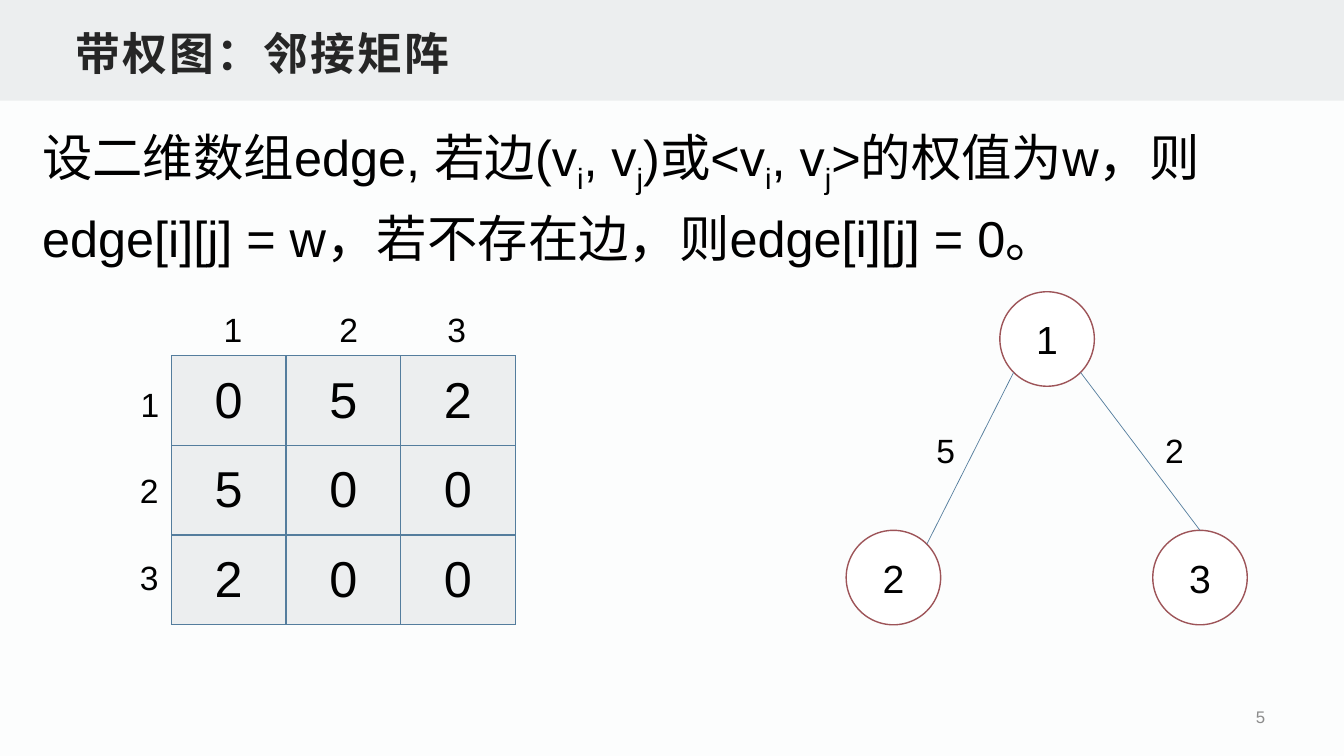
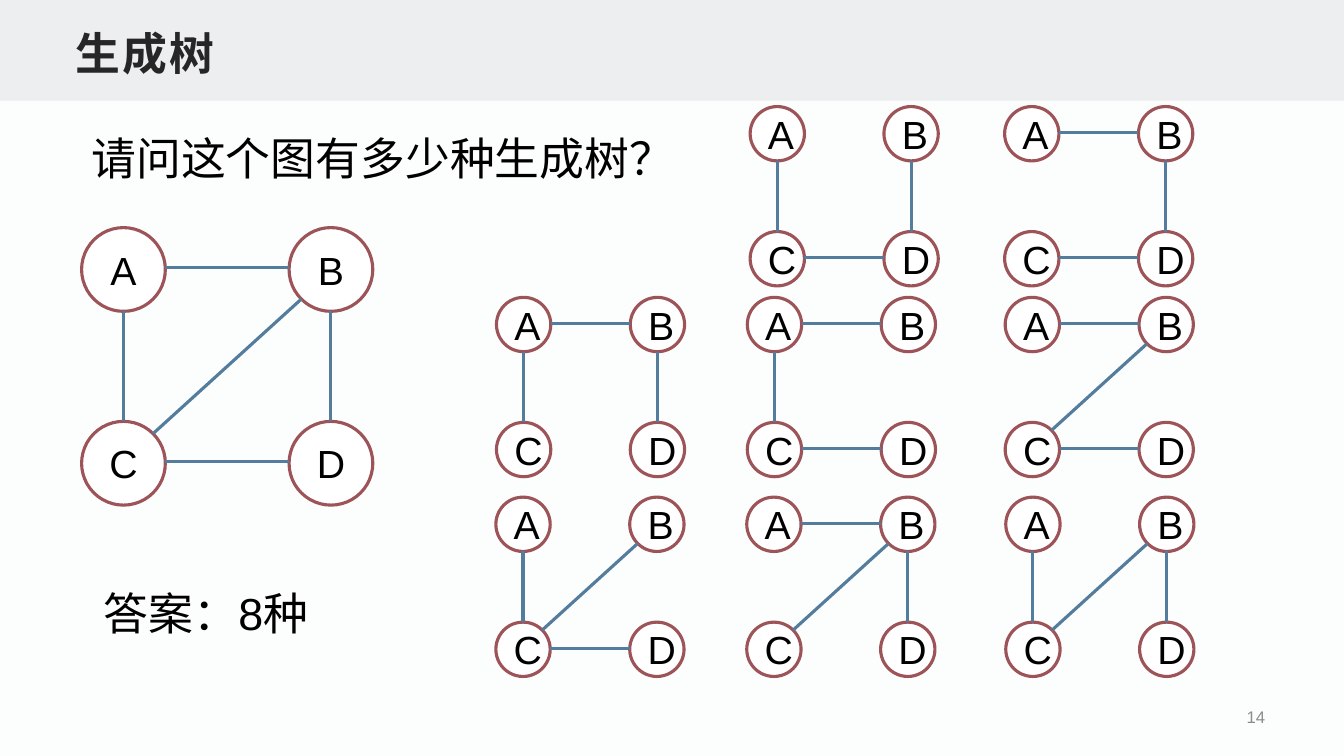
"""Two lecture slides on weighted graphs and spanning trees."""
from lxml import etree
from pptx import Presentation
from pptx.dml.color import RGBColor
from pptx.enum.shapes import MSO_CONNECTOR as CONN, MSO_SHAPE as SHAPE
from pptx.enum.text import MSO_ANCHOR as ANCHOR, MSO_AUTO_SIZE as AUTO, PP_ALIGN as ALIGN
from pptx.oxml.ns import qn
from pptx.util import Pt

BLACK, DARK, GREY, WHITE = "000000", "262626", "8C8C8C", "FFFFFF"
PAPER, BAND, RED, BLUE = "FCFDFD", "ECEEEF", "9D5458", "547D9D"
WIDTH, HEIGHT = 960, 540
DIAG = 0.71
SITES = {
    "N": (0, -1), "S": (0, 1), "E": (1, -0.04), "W": (-1, -0.04),
    "NE": (DIAG, -DIAG), "SE": (DIAG, DIAG), "SW": (-DIAG, DIAG),
}
SQUARE_EDGES = {
    "AB": ("E", "W"), "CD": ("E", "W"), "AC": ("S", "N"),
    "BD": ("S", "N"), "BC": ("SW", "NE"),
}


def rgb(value):
    """Turn a hex string into a colour."""
    return RGBColor.from_string(value)


class Deck:
    """Holds the style, the presentation and the current slide."""

    def __init__(self):
        """Start a wide presentation with the shared background."""
        self.prs = Presentation()
        self.prs.slide_width, self.prs.slide_height = Pt(WIDTH), Pt(HEIGHT)
        fill = self.prs.slide_master.background.fill
        fill.solid()
        fill.fore_color.rgb = rgb(PAPER)

    def format(self, p, size, color=BLACK, bold=False, align=ALIGN.LEFT):
        """Format a paragraph and its runs."""
        p.alignment = align
        for r in p.runs:
            r.font.name, r.font.size, r.font.bold = "Arial", Pt(size), bold
            r.font.color.rgb = rgb(color)

    def slide(self, title, number):
        """Add a slide with its band, title and number."""
        self.s = self.prs.slides.add_slide(self.prs.slide_layouts[5])
        sp = self.s.shapes.title
        band = self.shape(SHAPE.RECTANGLE, 0, 0, WIDTH, 72, BAND)
        sp._element.addprevious(band._element)
        sp.left, sp.top, sp.width, sp.height = Pt(48), Pt(12), Pt(864), Pt(48)
        tf = sp.text_frame
        tf.text = title
        tf.auto_size, tf.vertical_anchor = AUTO.NONE, ANCHOR.BOTTOM
        tf.margin_left = tf.margin_right = Pt(6)
        tf.margin_top = tf.margin_bottom = Pt(3)
        self.format(tf.paragraphs[0], 32, DARK, bold=True)
        tf.paragraphs[0].runs[0].font._element.set("spc", "150")
        self.text(number, 698.4, 499.7, 212.4, 25.2, 12, GREY, ALIGN.RIGHT, ANCHOR.MIDDLE)

    def shape(self, kind, x, y, w, h, fill, line=None, weight=1):
        """Add a filled preset shape with an optional outline."""
        sp = self.s.shapes.add_shape(kind, Pt(x), Pt(y), Pt(w), Pt(h))
        sp.shadow.inherit = False
        sp.fill.solid()
        sp.fill.fore_color.rgb = rgb(fill)
        if line:
            sp.line.color.rgb, sp.line.width = rgb(line), Pt(weight)
        else:
            sp.line.fill.background()
        return sp

    def text(self, text, x, y, w, h, size, color=BLACK, align=ALIGN.LEFT,
             anchor=ANCHOR.TOP, spacing=None):
        """Add a text box; every second part between bars is a subscript."""
        tf = self.s.shapes.add_textbox(Pt(x), Pt(y), Pt(w), Pt(h)).text_frame
        tf.word_wrap, tf.vertical_anchor = True, anchor
        p = tf.paragraphs[0]
        for i, part in enumerate(text.split("|")):
            r = p.add_run()
            r.text = part
            if i % 2:
                r.font._element.set("baseline", "-25000")
        self.format(p, size, color, align=align)
        if spacing:
            p.line_spacing = spacing

    def node(self, name, x, y, size, weight):
        """Add a labelled circle and return its centre and radius."""
        sp = self.shape(SHAPE.OVAL, x, y, size, size, WHITE, RED, weight)
        sp.text_frame.text = name
        self.format(sp.text_frame.paragraphs[0], 28, align=ALIGN.CENTER)
        return x + size / 2, y + size / 2, size / 2

    def edge(self, start, end, sites, weight):
        """Join two circles at the given compass sites."""
        ends = []
        for (x, y, radius), site in zip((start, end), sites):
            dx, dy = SITES[site]
            ends += [Pt(x + radius * dx), Pt(y + radius * dy)]
        line = self.s.shapes.add_connector(CONN.STRAIGHT, *ends)
        line.line.color.rgb, line.line.width = rgb(BLUE), Pt(weight)
        etree.SubElement(line._element.spPr, qn("a:effectLst"))

    def graph(self, places, edges, size, node_weight, edge_weight):
        """Draw a graph from node places and edge sites."""
        nodes = {name: self.node(name, x, y, size, node_weight)
                 for name, (x, y) in places.items()}
        for (a, b), sites in edges.items():
            self.edge(nodes[a], nodes[b], sites, edge_weight)

    def square(self, x, y, size, dx, dy, edges):
        """Draw the graph A, B, C, D on a two by two grid."""
        places = {name: (x + i % 2 * dx, y + i // 2 * dy) for i, name in enumerate("ABCD")}
        self.graph(places, {e: SQUARE_EDGES[e] for e in edges.split()}, size, 2.25, 2.25)

    def matrix(self, rows, x, y, col, row):
        """Add a bordered table of centred values."""
        n = len(rows)
        tbl = self.s.shapes.add_table(n, n, Pt(x), Pt(y), Pt(col * n), Pt(row * n)).table
        tbl.first_row = tbl.horz_banding = False
        for i, values in enumerate(rows):
            for j, value in enumerate(values):
                cell = tbl.cell(i, j)
                cell.text, cell.vertical_anchor = value, ANCHOR.MIDDLE
                self.format(cell.text_frame.paragraphs[0], 36, align=ALIGN.CENTER)
                self.borders(cell)
                cell.fill.solid()
                cell.fill.fore_color.rgb = rgb(BAND)

    def borders(self, cell):
        """Give a cell thin lines on all four sides."""
        for side in "LRTB":
            ln = etree.SubElement(cell._tc.get_or_add_tcPr(), qn(f"a:ln{side}"), w=str(Pt(1)))
            fill = etree.SubElement(ln, qn("a:solidFill"))
            etree.SubElement(fill, qn("a:srgbClr"), val=BLUE)


def adjacency_slide(d):
    """Build the slide on the adjacency matrix."""
    d.slide("带权图：邻接矩阵", "5")
    d.text("设二维数组edge, 若边(v|i|, v|j|)或<v|i|, v|j|>的权值为w，"
           "则edge[i][j] = w，若不存在边，则edge[i][j] = 0。",
           23, 77, 903.6, 111.6, 36, spacing=1.2)
    d.graph({"1": (714.2, 208.4), "2": (604.4, 378.8), "3": (823.4, 378.8)},
            {"12": ("SW", "NE"), "13": ("SE", "N")}, 67.5, 1, 0.5)
    d.matrix(["052", "500", "200"], 122.4, 254.2, 81.9, 64)
    columns = [(152.6, 217.4), (235.4, 217.4), (312.5, 217.4)]
    rows = [(93.4, 270.7), (92.9, 331.9), (92.9, 394.6)]
    for labels in (columns, rows):
        for i, (x, y) in enumerate(labels, 1):
            d.text(str(i), x, y, 30, 36, 24)
    for weight, x in (("5", 661.7), ("2", 825.1)):
        d.text(weight, x, 303.8, 46.8, 36, 24)


def spanning_slide(d):
    """Build the slide on spanning trees."""
    d.slide("生成树", "14")
    d.square(58.3, 162.6, 59.8, 148.2, 138.4, "AB BD AC CD BC")
    d.text("请问这个图有多少种生成树？", 58.3, 90, 440, 46, 32)
    d.text("答案：8种", 67, 414.7, 248.4, 46, 32)
    trees = [
        (535.8, 76.1, "BD AC CD"), (717.6, 76.1, "AB BD CD"),
        (354.6, 212.4, "AB BD AC"), (533.8, 212.4, "AB AC CD"), (718, 212.4, "AB CD BC"),
        (354.2, 355.1, "AC CD BC"), (533.4, 355.1, "AB BD BC"), (718.4, 355.1, "BD AC BC"),
    ]
    for x, y, edges in trees:
        d.square(x, y, 38.8, 95.6, 89.3, edges)


def main():
    """Build and save the slides."""
    d = Deck()
    adjacency_slide(d)
    spanning_slide(d)
    d.prs.save("out.pptx")


if __name__ == "__main__":
    main()
